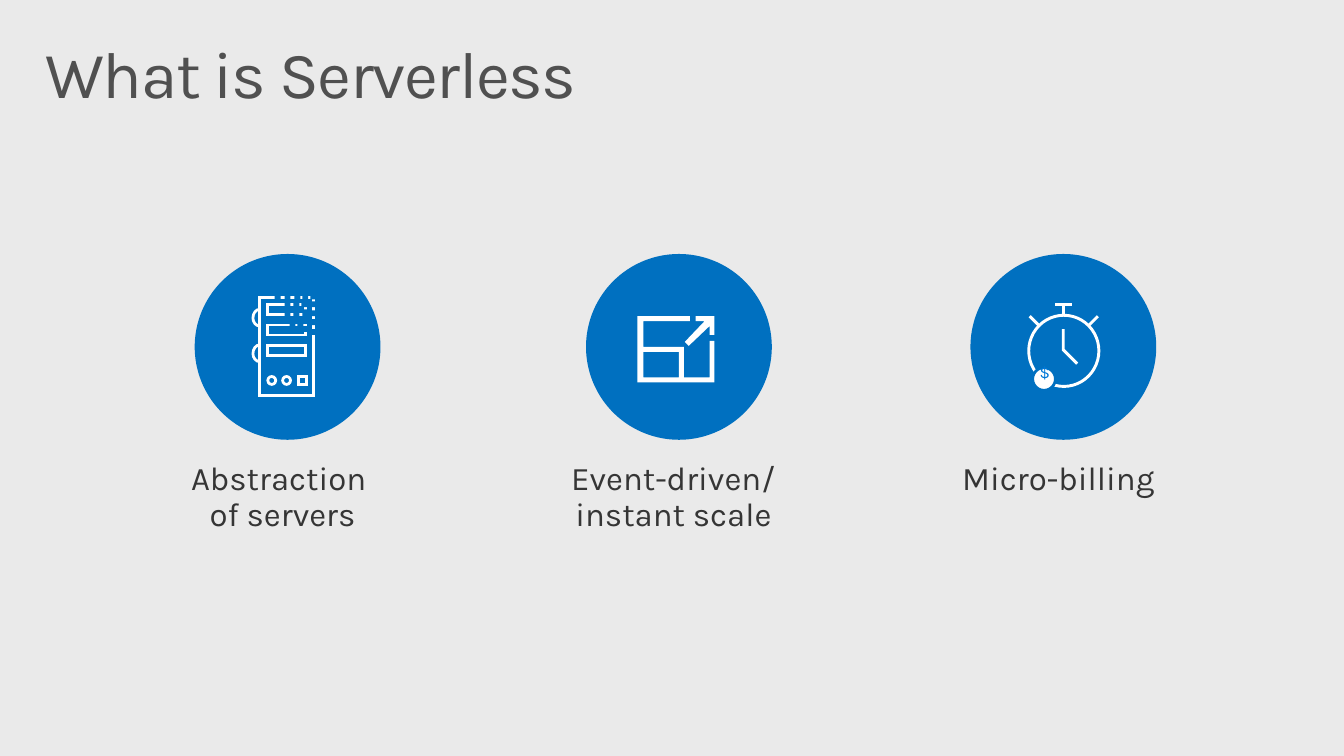
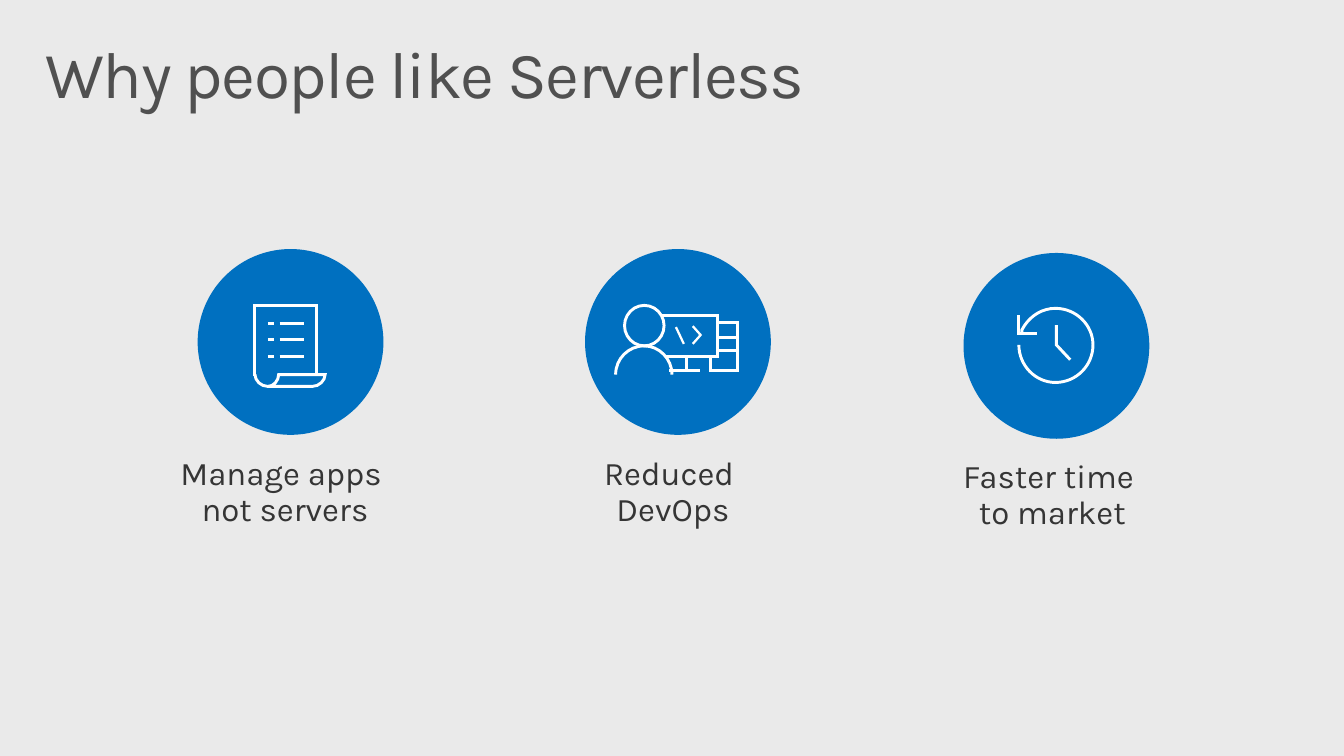
from dataclasses import dataclass
from typing import Optional, Union

from lxml.etree import SubElement
from pptx import Presentation
from pptx.dml.color import RGBColor
from pptx.enum.shapes import MSO_CONNECTOR, MSO_SHAPE
from pptx.enum.text import MSO_ANCHOR, MSO_AUTO_SIZE, PP_ALIGN
from pptx.oxml.ns import qn
from pptx.util import Emu, Pt

PX = 9144  # 100 px to the inch
FONT = "Karla"
BACK, BLUE, WHITE = "EAEAEA", "0070C0", "FFFFFF"
TITLE, LABEL, COIN = "505050", "353535", "0078D7"
DISC = 188


@dataclass(frozen=True)
class Box:
    """A rectangle or ellipse, measured from the corner of its badge."""
    left: int
    top: int
    wide: int
    high: int
    kind: MSO_SHAPE = MSO_SHAPE.RECTANGLE
    fill: Optional[str] = None
    line: Optional[str] = WHITE
    weight: float = 2


@dataclass(frozen=True)
class Path:
    """A stroke: pairs are line ends, sixes are cubic curves."""
    nodes: tuple[tuple[int, ...], ...]
    weight: float = 2.13


@dataclass(frozen=True)
class Solid:
    """A filled outline with one or more loops."""
    loops: tuple[tuple[tuple[int, int], ...], ...]


Part = Union[Box, Path, Solid]


@dataclass(frozen=True)
class Text:
    words: str
    area: tuple[int, int, int, int]
    size: int = 24
    color: str = LABEL
    inset: tuple[int, int, int, int] = (10, 16, 20, 16)
    align: PP_ALIGN = PP_ALIGN.CENTER
    after: int = 6
    wrap: bool = True
    grow: bool = True
    track: int = 0


@dataclass(frozen=True)
class Badge:
    left: int
    top: int
    label: Text
    icon: tuple[Part, ...]


@dataclass(frozen=True)
class Page:
    title: str
    badges: tuple[Badge, ...]
    extra: tuple[Text, ...] = ()


def px(n: int) -> Emu:
    return Emu(n * PX)


def rgb(code: str) -> RGBColor:
    return RGBColor.from_string(code)


def paint(shape, fill: Optional[str], line: Optional[str], weight: float = 2) -> None:
    shape.shadow.inherit = False
    if fill:
        shape.fill.solid()
        shape.fill.fore_color.rgb = rgb(fill)
    else:
        shape.fill.background()
    if line:
        shape.line.color.rgb = rgb(line)
        shape.line.width = Pt(weight)
        # Square corners
        edge = shape.element.spPr.find(qn("a:ln"))
        SubElement(edge, qn("a:miter")).set("lim", "800000")
    else:
        shape.line.fill.background()


def bend(shape, nodes: tuple[tuple[int, ...], ...]) -> None:
    """Join each curve's three points into one cubic segment."""
    steps = iter(list(shape.element.iter(qn("a:lnTo"))))
    for node in nodes[1:]:
        first = next(steps)
        if len(node) == 6:
            first.tag = qn("a:cubicBezTo")
            for _ in range(2):
                spare = next(steps)
                first.append(spare[0])
                spare.getparent().remove(spare)


def outline(shapes, loops, left: int, top: int, close: bool):
    """Build one freeform from loops of points."""
    pen = None
    for loop in loops:
        spots = [(left + x, top + y) for x, y in loop]
        if pen is None:
            pen = shapes.build_freeform(*spots[0], scale=PX)
        else:
            pen.move_to(*spots[0])
        pen.add_line_segments(spots[1:], close=close)
    return pen.convert_to_shape()


def draw(shapes, part: Part, left: int, top: int) -> None:
    if isinstance(part, Box):
        shape = shapes.add_shape(part.kind, px(left + part.left), px(top + part.top),
                                 px(part.wide), px(part.high))
        paint(shape, part.fill, part.line, part.weight)
    elif isinstance(part, Solid):
        paint(outline(shapes, part.loops, left, top, True), WHITE, None)
    elif len(part.nodes) == 2 and len(part.nodes[1]) == 2:
        (ax, ay), (bx, by) = part.nodes
        wire = shapes.add_connector(MSO_CONNECTOR.STRAIGHT, px(left + ax), px(top + ay),
                                    px(left + bx), px(top + by))
        wire.line.color.rgb = rgb(WHITE)
        wire.line.width = Pt(part.weight)
        SubElement(wire.element.spPr, qn("a:effectLst"))
    else:
        spots = [node[i:i + 2] for node in part.nodes for i in range(0, len(node), 2)]
        shape = outline(shapes, [spots], left, top, False)
        bend(shape, part.nodes)
        paint(shape, None, WHITE, part.weight)


def write(slide, text: Text) -> None:
    box = slide.shapes.add_textbox(*map(px, text.area))
    frame = box.text_frame
    frame.word_wrap = text.wrap
    frame.auto_size = MSO_AUTO_SIZE.SHAPE_TO_FIT_TEXT if text.grow else MSO_AUTO_SIZE.NONE
    frame.vertical_anchor = MSO_ANCHOR.TOP
    (frame.margin_left, frame.margin_top,
     frame.margin_right, frame.margin_bottom) = map(px, text.inset)
    para = frame.paragraphs[0]
    para.alignment = text.align
    para.line_spacing = 0.9
    para.space_after = Pt(text.after)
    for row, words in enumerate(text.words.split("\n")):
        if row:
            para.add_line_break()
        run = para.add_run()
        run.text = words
        run.font.name = FONT
        run.font.size = Pt(text.size)
        run.font.color.rgb = rgb(text.color)
        if text.track:
            run.font._element.set("spc", str(text.track))


def build(deck, page: Page) -> None:
    slide = deck.slides.add_slide(deck.slide_layouts[6])
    slide.background.fill.solid()
    slide.background.fill.fore_color.rgb = rgb(BACK)
    write(slide, Text(page.title, (30, 32, 1300, 100), 48, TITLE, (16, 10, 16, 10),
                      PP_ALIGN.LEFT, 0, grow=False, track=-102))
    disc = Box(0, 0, DISC, DISC, MSO_SHAPE.OVAL, BLUE, None)
    for badge in page.badges:
        write(slide, badge.label)
        group = slide.shapes.add_group_shape()
        for part in (disc, *badge.icon):
            draw(group.shapes, part, badge.left, badge.top)
    for text in page.extra:
        write(slide, text)


# Server fading into dots
HOLES = ((81, 41), (91, 40), (101, 40), (109, 40), (117, 40), (91, 47), (100, 47),
         (108, 48), (118, 48), (91, 59), (100, 58), (118, 57), (117, 66), (117, 76),
         (96, 69), (104, 69), (109, 73))
SERVER = (
    Box(66, 44, 54, 99),
    *(Box(74, y, 38, 10) for y in (51, 72, 93)),
    *(Path(((66, y + 17), (62, y + 17, 59, y + 13, 59, y + 9),
            (59, y + 4, 62, y, 66, y)), 2) for y in (56, 92)),
    *(Box(x, 124, 8, 8, MSO_SHAPE.OVAL) for x in (74, 89)),
    Box(105, 124, 8, 8),
    *(Box(x, y, 6, 6, fill=BLUE, line=None) for x, y in HOLES),
    Box(109, 56, 6, 8, fill=BLUE, line=None),
)

# Frame with an arrow growing out of it
SCALE = (
    Solid((((125, 125), (99, 125), (99, 94), (58, 94), (58, 68), (105, 68), (105, 63),
            (52, 63), (52, 130), (130, 130), (130, 88), (125, 88)),
           ((58, 99), (94, 99), (94, 125), (58, 125)))),
    Solid((((111, 68), (120, 68), (100, 89), (104, 93), (125, 73), (125, 82),
            (130, 82), (130, 63), (111, 63)),)),
)

# Stopwatch with a coin
WATCH = (
    Path(((94, 76), (94, 97), (108, 111))),
    Box(59, 62, 71, 72, MSO_SHAPE.OVAL, weight=2.13),
    Path(((86, 51), (103, 51))),
    Path(((94, 62), (94, 51))),
    Path(((129, 63), (119, 73))),
    Path(((60, 63), (70, 73))),
    Box(63, 115, 23, 23, MSO_SHAPE.OVAL, WHITE, BLUE),
)

# Scroll with a list
SCROLL = (
    Path(((58, 127), (58, 133, 64, 139, 71, 139), (77, 139, 82, 133, 82, 127),
          (129, 127, 129, 127, 129, 127), (129, 133, 123, 139, 116, 139),
          (71, 139, 71, 139, 71, 139))),
    Path(((58, 128), (58, 57), (120, 57), (120, 127))),
    *(Path(((a, y), (b, y))) for a, b in ((83, 108), (71, 77)) for y in (75, 92, 109)),
)

# Person at a screen
CODER = (
    Box(40, 57, 40, 41, MSO_SHAPE.OVAL, weight=2.13),
    Path(((88, 127), (88, 111, 75, 98, 60, 98), (44, 98, 31, 111, 31, 127))),
    Path(((82, 109), (134, 109), (134, 67), (77, 67))),
    Path(((103, 123), (103, 109))),
    Path(((134, 74), (154, 74), (154, 123), (127, 123), (127, 109))),
    Path(((116, 123), (85, 123))),
    *(Path(((154, y), (134, y))) for y in (90, 103)),
    Path(((92, 79), (100, 96)), 1.63),
    Path(((109, 78), (117, 87), (109, 96)), 1.63),
)

# Clock turning back
CLOCK = (
    Path(((59, 80), (59, 80, 59, 79, 59, 78), (60, 76, 61, 75, 62, 73),
          (69, 63, 80, 56, 93, 56), (114, 56, 131, 73, 131, 93),
          (131, 114, 114, 131, 93, 131), (73, 131, 56, 114, 56, 93))),
    Path(((94, 73), (94, 93), (108, 108))),
    Path(((74, 81), (56, 81), (56, 63))),
)

PAGES = (
    Page("What is Serverless", (
        Badge(593, 257, Text("Event-driven/ instant scale", (538, 452, 297, 107)), SCALE),
        Badge(982, 257, Text("Micro-billing", (939, 452, 274, 70)), WATCH),
        Badge(197, 257, Text("Abstraction \nof servers", (147, 452, 288, 107)), SERVER),
    ), (Text("$", (1032, 360, 50, 50), 12, COIN, (20, 16, 20, 16),
             PP_ALIGN.LEFT, wrap=False),)),
    Page("Why people like Serverless", (
        Badge(592, 252, Text("Reduced \nDevOps", (542, 447, 288, 107)), CODER),
        Badge(200, 252, Text("Manage apps \nnot servers", (145, 447, 297, 107)), SCROLL),
        Badge(975, 256, Text("Faster time \nto market", (933, 450, 274, 107)), CLOCK),
    )),
)


def main() -> None:
    deck = Presentation()
    deck.slide_width, deck.slide_height = px(1360), px(765)
    for page in PAGES:
        build(deck, page)
    deck.save("out.pptx")


if __name__ == "__main__":
    main()
